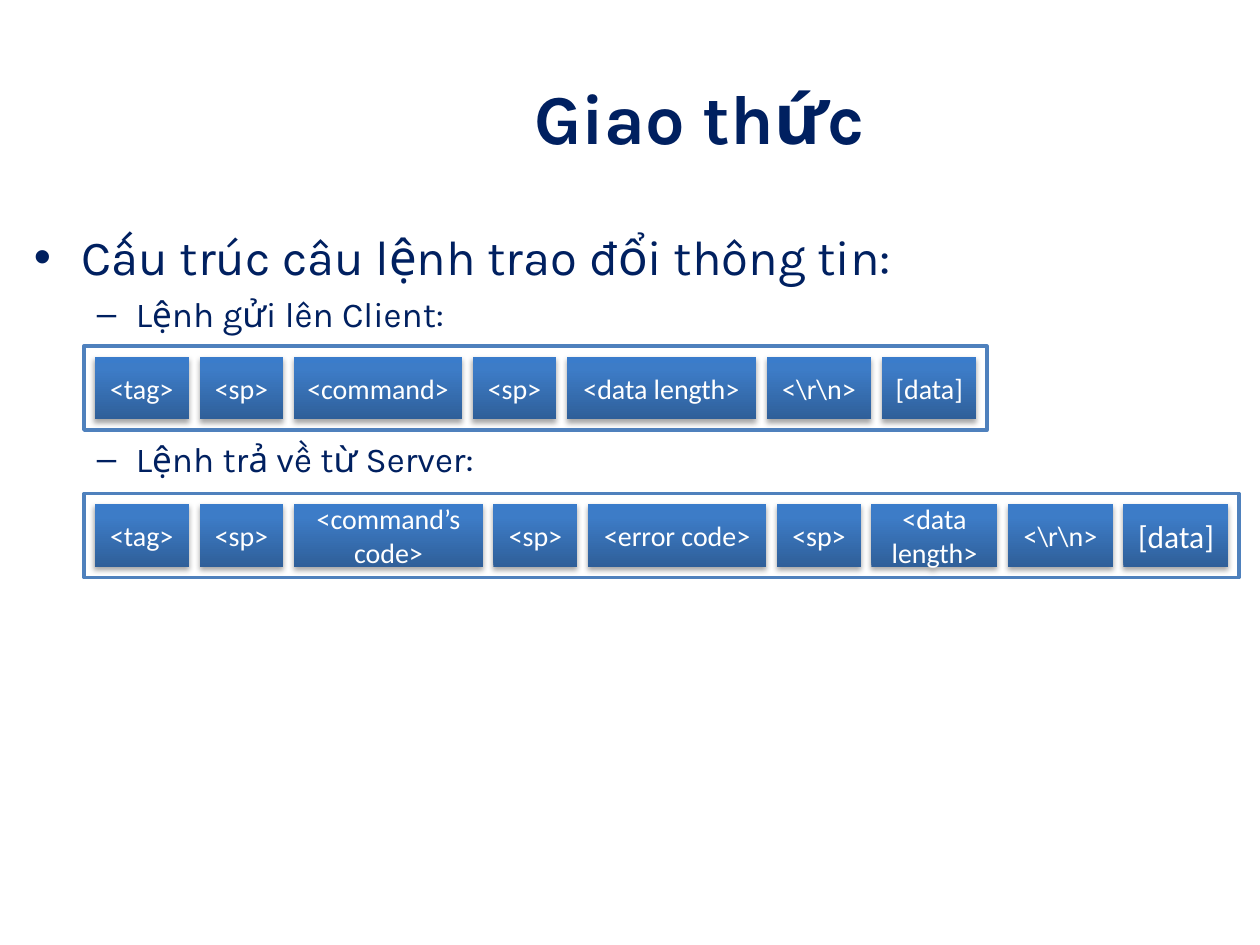
from copy import deepcopy

from lxml import etree
from pptx import Presentation
from pptx.dml.color import RGBColor
from pptx.enum.shapes import MSO_SHAPE
from pptx.enum.text import MSO_ANCHOR, PP_ALIGN
from pptx.oxml import parse_xml
from pptx.oxml.ns import nsdecls, qn
from pptx.util import Inches, Pt

RECTANGLE = MSO_SHAPE.RECTANGLE
CENTER, LEFT = PP_ALIGN.CENTER, PP_ALIGN.LEFT
TOP, MIDDLE = MSO_ANCHOR.TOP, MSO_ANCHOR.MIDDLE

NAVY = RGBColor(0x00, 0x20, 0x60)
WHITE = RGBColor(0xFF, 0xFF, 0xFF)
FRAME_BLUE = RGBColor(0x4F, 0x81, 0xBD)
FIELD_GRADIENT = [
    (0, RGBColor(0x2F, 0x5F, 0x99)),
    (0.8, RGBColor(0x3D, 0x7C, 0xC7)),
    (1, RGBColor(0x3A, 0x7C, 0xCB)),
]
FIELD_SHADOW = f"""<a:effectLst {nsdecls("a")}>
  <a:outerShdw blurRad="40000" dist="23000" dir="5400000" rotWithShape="0">
    <a:srgbClr val="000000"><a:alpha val="35000"/></a:srgbClr>
  </a:outerShdw>
</a:effectLst>"""

# Field widths and the gap between fields are counted in twelfths of an inch.
UNIT = Inches(1) / 12
FIELD_HEIGHT = Inches(0.5)
ROW_LEFT = Inches(0.75)
COMMANDS = [
    (Inches(2.83), [("<tag>", 9, 16), ("<sp>", 8, 16), ("<command>", 16, 16),
                    ("<sp>", 8, 16), ("<data length>", 18, 16),
                    ("<\\r\\n>", 10, 16), ("[data]", 9, 16)]),
    (Inches(4), [("<tag>", 9, 16), ("<sp>", 8, 16), ("<command’s code>", 18, 16),
                 ("<sp>", 8, 16), ("<error code>", 17, 16), ("<sp>", 8, 16),
                 ("<data length>", 12, 16), ("<\\r\\n>", 10, 16),
                 ("[data]", 10, 18)]),
]


def write(shape, text, size, font="Karla", color=NAVY, bold=False,
          align=LEFT, anchor=TOP, bullet=None, indent=0, hanging=0):
    """Add one paragraph, using the empty first one if it is still free."""
    frame = shape.text_frame
    frame.word_wrap = True
    frame.vertical_anchor = anchor
    paragraph = frame.paragraphs[0]
    if paragraph.runs:
        paragraph = frame.add_paragraph()
    paragraph.alignment = align
    if bullet:
        paragraph.space_before = Pt(size * 0.2)
        properties = paragraph._p.get_or_add_pPr()
        properties.set("marL", str(Inches(indent)))
        properties.set("indent", str(-Inches(hanging)))
        etree.SubElement(properties, qn("a:buFont"), typeface="Arial")
        etree.SubElement(properties, qn("a:buChar"), char=bullet)
    run = paragraph.add_run()
    run.text = text
    run.font.size = Pt(size)
    run.font.name = font
    run.font.bold = bold
    run.font.color.rgb = color


prs = Presentation()
prs.slide_width = Inches(10)
prs.slide_height = Inches(7.5)
slide = prs.slides.add_slide(prs.slide_layouts[6])
shapes = slide.shapes

title = shapes.add_textbox(Inches(0.5), Inches(0.3), Inches(9), Inches(1.25))
title.text_frame.margin_left = Inches(1.2)
write(title, "Giao thức", 40, bold=True, align=CENTER, anchor=MIDDLE)

sub_item = {"size": 20, "bullet": "–", "indent": 0.81, "hanging": 0.31}
outline = shapes.add_textbox(Inches(0.17), Inches(1.75), Inches(9.83), Inches(0.92))
write(outline, "Cấu trúc câu lệnh trao đổi thông tin:", 28,
      bullet="•", indent=0.38, hanging=0.38)
write(outline, "Lệnh gửi lên Client:", **sub_item)

for row_top, fields in COMMANDS:
    units = sum(width for _, width, _ in fields) + len(fields) + 1
    frame = shapes.add_shape(RECTANGLE, int(ROW_LEFT - UNIT), int(row_top - UNIT),
                             int(units * UNIT), int(FIELD_HEIGHT + 2 * UNIT))
    frame.shadow.inherit = False
    frame.fill.solid()
    frame.fill.fore_color.rgb = WHITE
    frame.line.color.rgb = FRAME_BLUE
    frame.line.width = Pt(2)

    field_left = ROW_LEFT
    for label, width, size in fields:
        field = shapes.add_shape(RECTANGLE, int(field_left), row_top,
                                 int(width * UNIT), FIELD_HEIGHT)
        field.line.fill.background()
        field.fill.gradient()
        field.fill.gradient_angle = 90
        properties = field._element.spPr
        stop_list = properties.find(".//" + qn("a:gsLst"))
        stop_list.append(deepcopy(stop_list[-1]))
        for stop, (position, color) in zip(field.fill.gradient_stops, FIELD_GRADIENT):
            stop.position = position
            stop.color.rgb = color
        properties.append(parse_xml(FIELD_SHADOW))
        write(field, label, size, font="Calibri", color=WHITE,
              align=CENTER, anchor=MIDDLE)
        field_left += (width + 1) * UNIT

reply = shapes.add_textbox(Inches(0.17), Inches(3.42), Inches(9.83), Inches(0.58))
write(reply, "Lệnh trả về từ Server:", **sub_item)

prs.save("out.pptx")
